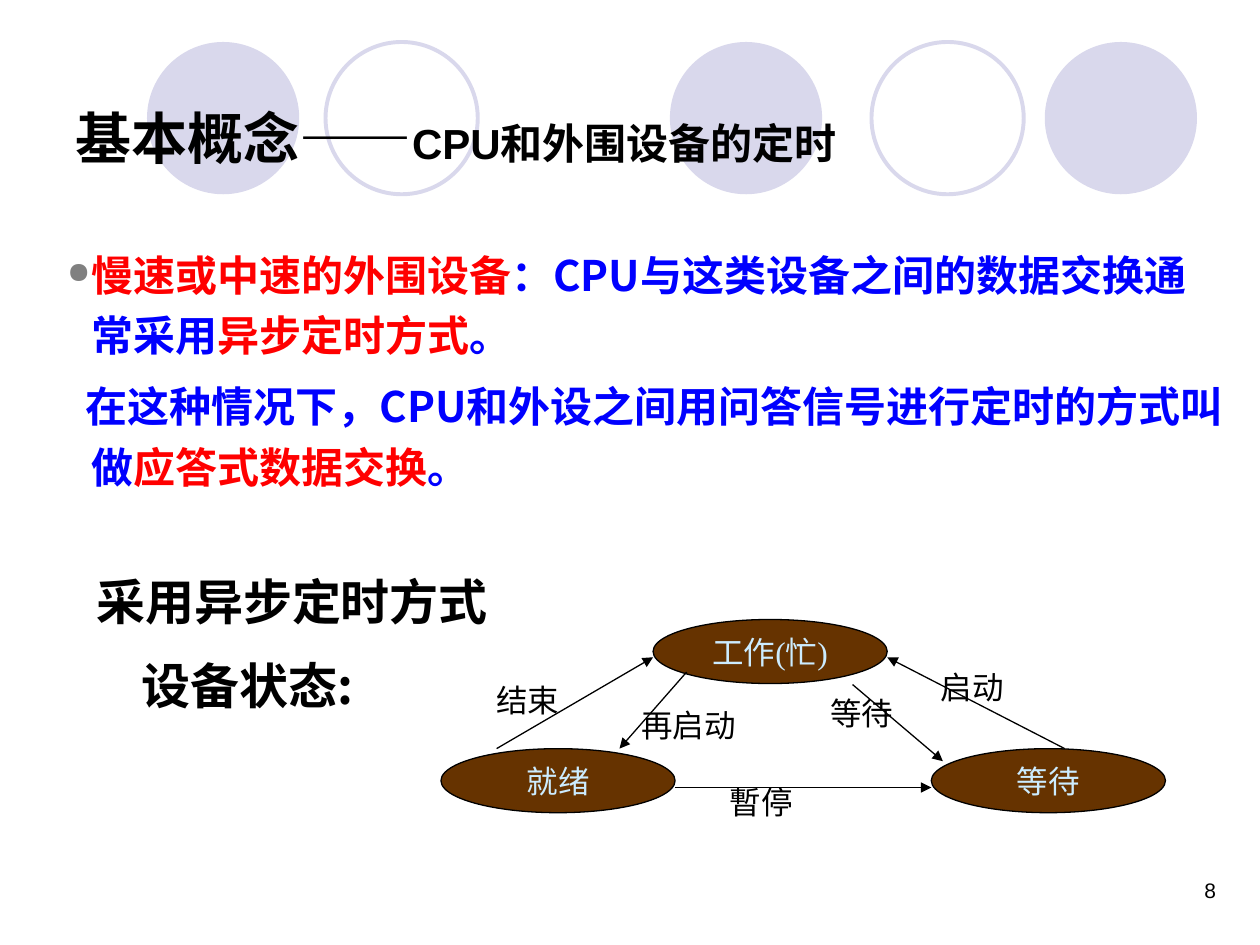
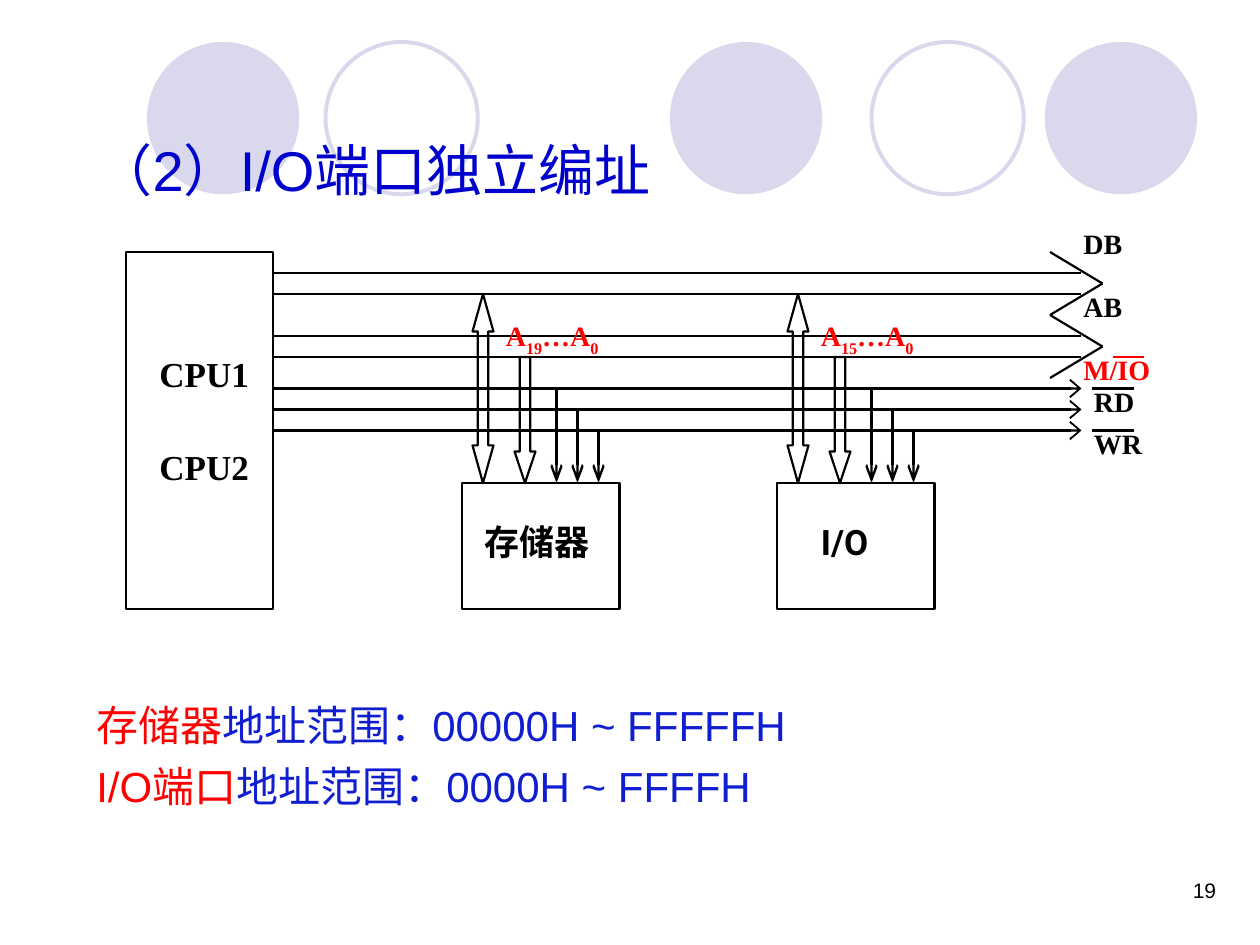
from lxml.etree import SubElement
from pptx import Presentation
from pptx.dml.color import RGBColor
from pptx.enum.shapes import MSO_CONNECTOR, MSO_SHAPE
from pptx.enum.text import MSO_ANCHOR, MSO_AUTO_SIZE, PP_ALIGN
from pptx.oxml.ns import qn
from pptx.util import Pt

PX = 7620
HAN = "Noto Sans CJK SC"
SERIF = "Times New Roman"
BLACK, RED, BLUE, LILAC = "000000", "FF0000", "0000FF", "D9D8EC"
hue = RGBColor.from_string


def write(shape, rows, size, face, bold=False, wrap=True):
    frame = shape.text_frame
    frame.word_wrap = wrap
    for i, row in enumerate(rows):
        para = frame.add_paragraph() if i else frame.paragraphs[0]
        for text, tint in row:
            run = para.add_run()
            run.text = text
            font = run.font
            font.size, font.bold, font.name = Pt(size), bold, face
            font.color.rgb = hue(tint)
            SubElement(run._r.get_or_add_rPr(), qn("a:ea"), typeface=HAN)
    return frame.paragraphs


def draw(slide, ends, width, tail=None, tint=BLACK, span="med", reach="med"):
    wire = slide.shapes.add_connector(MSO_CONNECTOR.STRAIGHT, *[n * PX for n in ends])
    wire.line.color.rgb = hue(tint)
    wire.line.width = Pt(width)
    if tail:
        stroke = wire.line._get_or_add_ln()
        SubElement(stroke, qn("a:tailEnd"), type=tail, w=span, len=reach)
    SubElement(wire.element.spPr, qn("a:effectLst"))
    return wire


deck = Presentation()
deck.slide_width, deck.slide_height = 1200 * PX, 900 * PX
layout = deck.slide_layouts.get_by_name("Title Only")
pages = []
for number, box, anchor in [
    ("8", (60, 76, 1080, 110), MSO_ANCHOR.MIDDLE),
    ("19", (80, 119, 1020, 80), MSO_ANCHOR.BOTTOM),
]:
    page = deck.slides.add_slide(layout)
    title = page.shapes.title
    title.left, title.top, title.width, title.height = [n * PX for n in box]
    title.text_frame.vertical_anchor = anchor
    title.text_frame.auto_size = MSO_AUTO_SIZE.NONE
    title.text_frame.paragraphs[0].alignment = PP_ALIGN.LEFT
    foot = page.shapes.add_textbox(890 * PX, 830 * PX, 280 * PX, 60 * PX)
    write(foot, [[(number, BLACK)]], 12, "Arial")[0].alignment = PP_ALIGN.RIGHT
    pages.append(page)
state, port = pages

master = deck.slide_master.shapes.element
for i, (left, solid) in enumerate(
    [(638, True), (995, True), (140, True), (830, False), (310, False)]
):
    disc = state.shapes.add_shape(
        MSO_SHAPE.OVAL, left * PX, 40 * PX, 145 * PX, 145 * PX
    )
    disc.shadow.inherit = False
    if solid:
        disc.fill.solid()
        disc.fill.fore_color.rgb = hue(LILAC)
        disc.line.fill.background()
    else:
        disc.fill.background()
        disc.line.color.rgb = hue(LILAC)
        disc.line.width = Pt(2.25)
    disc.element.nvSpPr.cNvPr.set("id", str(20 + i))
    master.append(disc.element)

row = [("基本概念——", BLACK), ("CPU和外围设备的定时", BLACK)]
paras = write(state.shapes.title, [row], 32, "Arial", True)
paras[0].runs[1].font.size = Pt(24)

body = state.shapes.add_textbox(52 * PX, 222 * PX, 1127 * PX, 300 * PX)
rows = [
    [
        ("慢速或中速的外围设备", RED),
        ("：CPU与这类设备之间的数据交换通常采用", BLUE),
        ("异步定时方式", RED),
        ("。", BLUE),
    ],
    [
        ("在这种情况下，CPU和外设之间用问答信号进行定时的方式叫做", BLUE),
        ("应答式数据交换", RED),
        ("。", BLUE),
    ],
]
paras = write(body, rows, 24, HAN, True)
for para, hang in zip(paras, (-23, -5)):
    para.line_spacing = 1.2
    para.space_after = Pt(3)
    props = para._p.get_or_add_pPr()
    props.set("marL", str(23 * PX))
    props.set("indent", str(hang * PX))
paras[1].space_before = Pt(3)
props = paras[0]._p.get_or_add_pPr()
tint = SubElement(props, qn("a:buClr"))
SubElement(tint, qn("a:srgbClr"), val="808080")
SubElement(props, qn("a:buSzPct"), val="70000")
SubElement(props, qn("a:buChar"), char="●")

mode = state.shapes.add_textbox(80 * PX, 545 * PX, 400 * PX, 160 * PX)
rows = [[("采用异步定时方式", BLACK)], [("设备状态:", BLACK)]]
paras = write(mode, rows, 28, HAN, True)
for para in paras:
    para.line_spacing = 0.9
paras[1].space_before = Pt(17.5)
paras[1]._p.get_or_add_pPr().set("marL", str(43 * PX))

for text, left, top in [("工作(忙)", 622, 590), ("就绪", 420, 713), ("等待", 887, 713)]:
    node = state.shapes.add_shape(
        MSO_SHAPE.OVAL, left * PX, top * PX, 223 * PX, 61 * PX
    )
    node.shadow.inherit = False
    node.fill.solid()
    node.fill.fore_color.rgb = hue("663300")
    node.line.color.rgb = hue(BLACK)
    node.line.width = Pt(0.75)
    write(node, [[(text, "CCECFF")]], 18, SERIF, wrap=False)

for ends in [
    (473, 713, 622, 626),
    (654, 640, 590, 713),
    (643, 750, 887, 750),
    (812, 652, 898, 725),
    (1014, 713, 845, 626),
]:
    draw(state, ends, 0.75, "triangle")

for text, left, top in [
    ("结束", 461, 643),
    ("再启动", 599, 667),
    ("等待", 779, 655),
    ("启动", 884, 630),
    ("暫停", 683, 740),
]:
    label = state.shapes.add_textbox(
        left * PX, top * PX, (24 + 30 * len(text)) * PX, 48 * PX
    )
    write(label, [[(text, BLACK)]], 18, SERIF, wrap=False)

write(port.shapes.title, [[("（2）I/O端口独立编址", "0000CC")]], 32, "Arial")
note = port.shapes.add_textbox(80 * PX, 660 * PX, 1020 * PX, 130 * PX)
rows = [
    [("存储器", RED), ("地址范围：00000H ~ FFFFFH", "101ED0")],
    [("I/O端口", RED), ("地址范围：0000H ~ FFFFH", "101ED0")],
]
write(note, rows, 24, "Arial")[1].space_before = Pt(6)

shapes = [(MSO_SHAPE.RECTANGLE, (120, 240, 140, 340), None)]
for left in (440, 740):
    shapes += [
        (MSO_SHAPE.RECTANGLE, (left, 460, 150, 120), None),
        (MSO_SHAPE.UP_DOWN_ARROW, (left + 10, 280, 20, 180), 179000),
        (MSO_SHAPE.DOWN_ARROW, (left + 50, 340, 20, 120), 150000),
    ]
parts = []
for kind, box, head in shapes:
    part = port.shapes.add_shape(kind, *[n * PX for n in box])
    part.shadow.inherit = False
    part.fill.background()
    part.line.color.rgb = hue(BLACK)
    part.line.width = Pt(1.25)
    if head:
        guides = part.element.spPr.find(qn("a:prstGeom")).find(qn("a:avLst"))
        for guide in list(guides):
            guides.remove(guide)
        for name, size in [("adj1", 50000), ("adj2", head)]:
            SubElement(guides, qn("a:gd"), name=name, fmla=f"val {size}")
    parts.append(part)

for y in (260, 280, 320, 340):
    draw(port, (260, y, 1030, y), 1.25)
for tip in (270, 330):
    for edge in (tip - 30, tip + 30):
        draw(port, (1000, edge, 1050, tip), 1.25)
for i, y in enumerate((370, 390, 410)):
    wire = draw(port, (260, y, 1030, y), 1.25, "arrow", span="lg")
    if y == 410:
        wire.begin_connect(parts[0], 3)
    for left in (530, 830):
        x = left + 20 * i
        draw(port, (x, y, x, 460), 1.25, "arrow", reach="lg")
for left, right, y, tint in [
    (1060, 1090, 340, RED),
    (1040, 1080, 370, BLACK),
    (1040, 1080, 410, BLACK),
]:
    draw(port, (left, y, right, y), 1.25, tint=tint)

for text, left, top, size, face, tint in [
    ("DB", 1020, 210, 16, SERIF, BLACK),
    ("AB", 1020, 270, 16, SERIF, BLACK),
    ("M/IO", 1020, 330, 16, SERIF, RED),
    ("RD", 1030, 360, 16, SERIF, BLACK),
    ("WR", 1030, 400, 16, SERIF, BLACK),
    ("CPU1", 140, 330, 20, SERIF, BLACK),
    ("CPU2", 140, 418, 20, SERIF, BLACK),
    ("存储器", 450, 490, 20, "Roboto", BLACK),
    ("I/O", 770, 490, 20, "Roboto", BLACK),
]:
    label = port.shapes.add_textbox(left * PX, top * PX, 140 * PX, 50 * PX)
    write(label, [[(text, tint)]], size, face, True)

for top, left in [("19", 470), ("15", 770)]:
    span = port.shapes.add_textbox(left * PX, 297 * PX, 120 * PX, 48 * PX)
    row = [(text, RED) for text in ("A", top, "…A", "0")]
    for run in write(span, [row], 16, SERIF, True)[0].runs[1::2]:
        run._r.get_or_add_rPr().set("baseline", "-30000")

deck.save("out.pptx")
